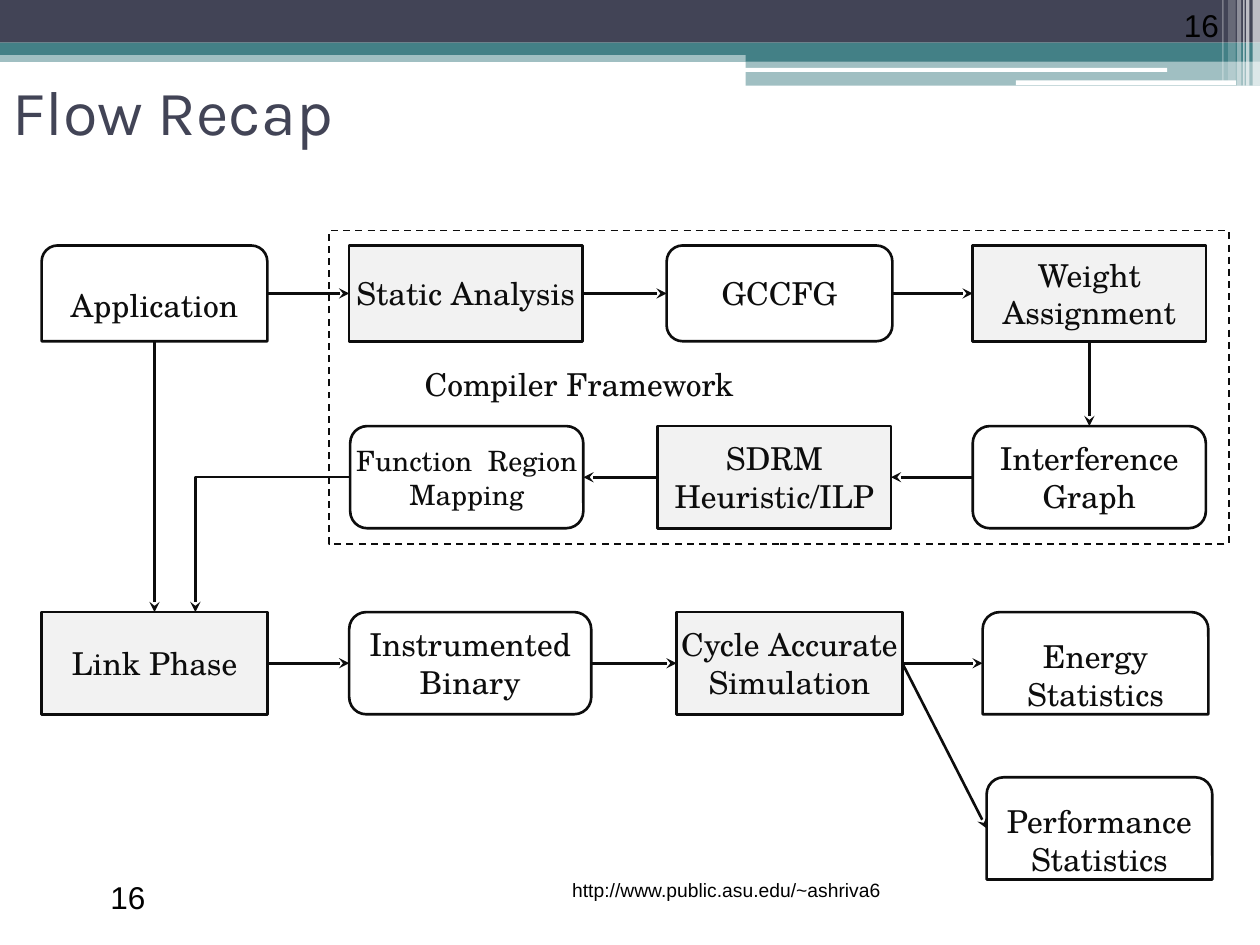
import dataclasses

import lxml.etree
import pptx
import pptx.dml.color
import pptx.enum.dml
import pptx.enum.shapes
import pptx.enum.text
import pptx.oxml.ns
import pptx.util

Cm, Pt = pptx.util.Cm, pptx.util.Pt
Rgb = pptx.dml.color.RGBColor.from_string
Form = pptx.enum.shapes.MSO_SHAPE
Link = pptx.enum.shapes.MSO_CONNECTOR
Align = pptx.enum.text.PP_ALIGN
Anchor = pptx.enum.text.MSO_ANCHOR
qn = pptx.oxml.ns.qn


@dataclasses.dataclass(frozen=True)
class Theme:
    navy: str = "424456"
    teal: str = "438086"
    white: str = "FFFFFF"
    grey: str = "F2F2F2"
    ink: str = "0D0D0D"
    black: str = "000000"
    head: str = "Karla"
    body: str = "TeX Gyre Schola"
    plain: str = "Arial"
    title: int = 36
    text: int = 18
    small: int = 16
    tiny: int = 11


theme = Theme()


def write(shape, words, size, font, color, align, anchor, pads=(0, 0, 0, 0)):
    """Put one formatted run in a shape; pads are left, top, right, bottom in cm."""
    frame = shape.text_frame
    frame.word_wrap = True
    frame.auto_size = pptx.enum.text.MSO_AUTO_SIZE.NONE
    frame.vertical_anchor = anchor
    (frame.margin_left, frame.margin_top,
     frame.margin_right, frame.margin_bottom) = map(Cm, pads)
    para = frame.paragraphs[0]
    para.alignment = align
    run = para.add_run()
    run.text = words
    run.font.size = Pt(size)
    run.font.name = font
    run.font.color.rgb = Rgb(color)


def arrow(line):
    """Style a connector as a dark line with a stealth head and no shadow."""
    line.line.color.rgb = Rgb(theme.ink)
    line.line.width = Pt(1.5)
    props = line._element.spPr
    lxml.etree.SubElement(props.find(qn("a:ln")), qn("a:tailEnd"), type="stealth")
    lxml.etree.SubElement(props, qn("a:effectLst"))


deck = pptx.Presentation()
deck.slide_width, deck.slide_height = Cm(25.4), Cm(19.05)
slide = deck.slides.add_slide(deck.slide_layouts[5])
shapes = slide.shapes

# Banner: left, top, width, height, colour, opacity in percent
bars = [
    (0, 1.02, 25.4, 0.23, theme.teal, 50),
    (0, 0, 25.4, 0.86, theme.navy, 100),
    (0, 0.86, 25.4, 0.25, theme.teal, 100),
    (15.03, 0.99, 10.37, 0.25, theme.teal, 100),
    (15.03, 1.23, 10.37, 0.5, theme.teal, 50),
    (15.02, 1.37, 8.51, 0.08, theme.white, 100),
    (20.48, 1.62, 4.44, 0.1, theme.white, 100),
    (25.25, 0, 0.15, 1.73, theme.white, 65),
    (25.12, 0, 0.07, 1.73, theme.white, 65),
    (25.06, 0, 0.03, 1.73, theme.white, 60),
    (24.94, 0, 0.08, 1.73, theme.white, 40),
    (24.76, 0, 0.15, 1.63, theme.white, 20),
    (24.64, 0, 0.03, 1.63, theme.white, 30),
]
for left, top, width, height, color, alpha in bars:
    bar = shapes.add_shape(Form.RECTANGLE, Cm(left), Cm(top), Cm(width), Cm(height))
    bar.shadow.inherit = False
    bar.line.fill.background()
    bar.fill.solid()
    bar.fill.fore_color.rgb = Rgb(color)
    if alpha < 100:
        tint = bar._element.spPr.find(qn("a:solidFill"))[0]
        lxml.etree.SubElement(tint, qn("a:alpha"), val=str(alpha * 1000))

title = shapes.title
title.left, title.top, title.width, title.height = Cm(0), Cm(1.27), Cm(22.86), Cm(1.9)
pads = (0.25, 0.13, 0.25, 0.13)
write(title, "Flow Recap", theme.title, theme.head, theme.navy,
      Align.LEFT, Anchor.MIDDLE, pads)

frame = shapes.add_shape(Form.RECTANGLE, Cm(6.63), Cm(4.65), Cm(18.14), Cm(6.32))
frame.shadow.inherit = False
frame.fill.background()
frame.line.color.rgb = Rgb(theme.ink)
frame.line.width = Pt(1)
frame.line.dash_style = pptx.enum.dml.MSO_LINE.DASH

# Flow boxes by row: top, height, then name, kind, left, width
step, data, end = Form.RECTANGLE, Form.ROUNDED_RECTANGLE, Form.ROUND_2_SAME_RECTANGLE
rows = [
    (4.95, 1.93, [("Application", end, 0.84, 4.55),
                  ("Static Analysis", step, 7.04, 4.7),
                  ("GCCFG", data, 13.44, 4.55),
                  ("Weight Assignment", step, 19.61, 4.7)]),
    (8.59, 2.06, [("Function  Region Mapping", data, 7.06, 4.7),
                  ("SDRM Heuristic/ILP", step, 13.26, 4.7),
                  ("Interference Graph", data, 19.61, 4.7)]),
    (12.34, 2.06, [("Link Phase", step, 0.84, 4.55),
                   ("Instrumented Binary", data, 7.04, 4.88),
                   ("Cycle Accurate Simulation", step, 13.64, 4.55),
                   ("Energy Statistics", end, 19.81, 4.55)]),
    (15.67, 2.06, [("Performance Statistics", end, 19.89, 4.55)]),
]
boxes = {}
for top, height, cells in rows:
    for name, kind, left, width in cells:
        box = shapes.add_shape(kind, Cm(left), Cm(top), Cm(width), Cm(height))
        box.shadow.inherit = False
        box.line.color.rgb = Rgb(theme.ink)
        box.line.width = Pt(1.5)
        if kind == step:
            box.fill.solid()
            box.fill.fore_color.rgb = Rgb(theme.grey)
        else:
            box.fill.background()
        size = theme.small if name.startswith("Function") else theme.text
        drop = 0.38 if kind == end else 0
        write(box, name, size, theme.body, theme.ink,
              Align.CENTER, Anchor.MIDDLE, (0, drop, 0, 0))
        boxes[name] = box

# Arrows between side middles: 0 top, 1 left, 2 bottom, 3 right
flows = [
    ("Application", 3, "Static Analysis", 1),
    ("Static Analysis", 3, "GCCFG", 1),
    ("GCCFG", 3, "Weight Assignment", 1),
    ("Weight Assignment", 2, "Interference Graph", 0),
    ("Interference Graph", 1, "SDRM Heuristic/ILP", 3),
    ("SDRM Heuristic/ILP", 1, "Function  Region Mapping", 3),
    ("Application", 2, "Link Phase", 0),
    ("Link Phase", 3, "Instrumented Binary", 1),
    ("Instrumented Binary", 3, "Cycle Accurate Simulation", 1),
    ("Cycle Accurate Simulation", 3, "Energy Statistics", 1),
    ("Cycle Accurate Simulation", 3, "Performance Statistics", 1),
]
for start, out, stop, into in flows:
    spots = []
    for name, side in ((start, out), (stop, into)):
        box = boxes[name]
        across, down = ((0.5, 0), (0, 0.5), (0.5, 1), (1, 0.5))[side]
        spots += [int(box.left + box.width * across), int(box.top + box.height * down)]
    line = shapes.add_connector(Link.STRAIGHT, *spots)
    # Boxes with two round corners number their sides differently, so stay unjoined
    if boxes[start].auto_shape_type != end:
        line.begin_connect(boxes[start], out)
    if boxes[stop].auto_shape_type != end:
        line.end_connect(boxes[stop], into)
    arrow(line)

bend = shapes.add_connector(Link.ELBOW, Cm(7.06), Cm(9.62), Cm(3.94), Cm(12.34))
bend._element.spPr.find(qn("a:prstGeom")).set("prst", "bentConnector2")
arrow(bend)

# Free text: words, left, top, width, height, size, font, colour, align, anchor, pads
notes = [
    ("Compiler Framework", 7.04, 6.88, 9.27, 1.7, theme.text, theme.body, theme.ink,
     Align.CENTER, Anchor.MIDDLE, (0, 0, 0, 0)),
    ("16", 22.71, 0, 2.11, 1.02, theme.text, theme.plain, theme.black,
     Align.RIGHT, Anchor.BOTTOM, pads),
    ("16", 1.07, 17.58, 2.11, 1.02, theme.text, theme.plain, theme.black,
     Align.RIGHT, Anchor.BOTTOM, pads),
    ("http://www.public.asu.edu/~ashriva6", 10.29, 17.58, 7.72, 1.27, theme.tiny,
     theme.plain, theme.black, Align.RIGHT, Anchor.TOP, pads),
]
for words, left, top, width, height, *style in notes:
    note = shapes.add_textbox(Cm(left), Cm(top), Cm(width), Cm(height))
    write(note, words, *style)

deck.save("out.pptx")
